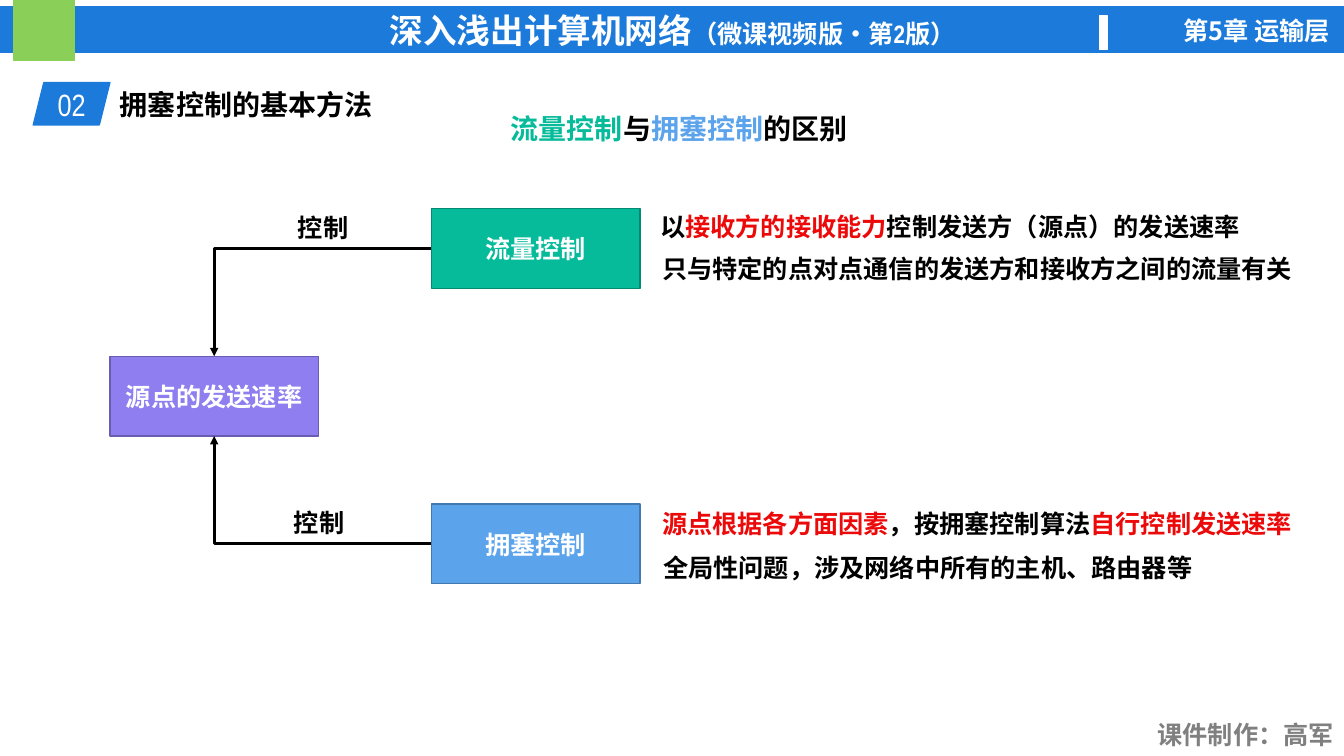
from lxml.etree import SubElement
from pptx import Presentation
from pptx.dml.color import RGBColor
from pptx.enum.shapes import MSO_CONNECTOR as Link, MSO_SHAPE as Kind
from pptx.enum.text import MSO_ANCHOR as Anchor, PP_ALIGN as Align
from pptx.oxml.ns import qn
from pptx.util import Pt

NARROW, SANS = "Arial Narrow", "Noto Sans CJK SC"
BLACK, WHITE, RED, GREY = "000000", "FFFFFF", "EB0909", "808080"
BLUE, LIME = "1B7ADA", "8ACF57"
TEAL, SKY, VIOLET = "06BB9A", "5BA3EB", "8E7EF0"

# A run is (text, colour, size)
COURSE = [("深入浅出计算机网络", WHITE, 24), ("（微课视频版•第2版）", WHITE, 18)]
CHAPTER = [("第5章 运输层", WHITE, 18)]
CREDIT = [("课件制作：高军", GREY, 18)]
NUMBER = [("02", WHITE, 22)]
SECTION = [("拥塞控制的基本方法", BLACK, 20)]
TOPIC = [("流量控制", TEAL, 20), ("与", BLACK, 20),
         ("拥塞控制", SKY, 20), ("的区别", BLACK, 20)]
SOURCE = [("源点的发送速率", WHITE, 18)]
CONTROL = [("控制", BLACK, 18)]

# Name, fill, line, left of the arrow label, notes as (left, drop, runs)
METHODS = [
    ("流量控制", TEAL, "048A72", 197.3, [
        (464.4, -1.4, [("以", BLACK, 18), ("接收方的接收能力", RED, 18),
                       ("控制发送方（源点）的发送速率", BLACK, 18)]),
        (465.8, 28.1, [("只与特定的点对点通信的发送方和接收方之间的流量有关",
                        BLACK, 18)]),
    ]),
    ("拥塞控制", SKY, "4379AE", 194.4, [
        (465.8, -0.7, [("源点根据各方面因素", RED, 18),
                       ("，按拥塞控制算法", BLACK, 18),
                       ("自行控制发送速率", RED, 18)]),
        (466.6, 31, [("全局性问题，涉及网络中所有的主机、路由器等", BLACK, 18)]),
    ]),
]

BOX_W, BOX_H = 149, 57
BOX_X, SRC_X = 308.2, 78.5
TOP, STEP = 149, 211
ROW_H = 28.8
TOP_SITE, LEFT_SITE, BOTTOM_SITE = 0, 1, 2


def rgb(code):
    return RGBColor.from_string(code)


def write(shape, runs, align=Align.LEFT, font=NARROW, bold=True):
    frame = shape.text_frame
    frame.word_wrap = True
    par = frame.paragraphs[0]
    par.alignment = align
    for text, color, size in runs:
        run = par.add_run()
        run.text = text
        run.font.name = font
        run.font.size = Pt(size)
        run.font.bold = bold
        run.font.color.rgb = rgb(color)
        SubElement(run.font._element, qn("a:ea")).set("typeface", SANS)


def block(area, fill, line=None, runs=(), kind=Kind.RECTANGLE, bold=True):
    shape = slide.shapes.add_shape(kind, *map(Pt, area))
    shape.shadow.inherit = False
    shape.fill.solid()
    shape.fill.fore_color.rgb = rgb(fill)
    shape.line.color.rgb = rgb(line or fill)
    shape.line.width = Pt(1)
    shape.text_frame.vertical_anchor = Anchor.MIDDLE
    write(shape, runs, Align.CENTER, bold=bold)
    return shape


def label(area, runs, align=Align.LEFT, font=NARROW):
    write(slide.shapes.add_textbox(*map(Pt, area)), runs, align, font)


def arrow(start, end, site):
    """Draw a one-bend arrow from the left of start to a site of end."""
    line = slide.shapes.add_connector(Link.ELBOW, 0, 0, 0, 0)
    line.begin_connect(start, LEFT_SITE)
    line.end_connect(end, site)
    line.line.color.rgb = rgb(BLACK)
    line.line.width = Pt(2)
    props = line._element.spPr
    props.find(qn("a:prstGeom")).set("prst", "bentConnector2")
    SubElement(props.find(qn("a:ln")), qn("a:tailEnd")).set("type", "triangle")
    SubElement(props, qn("a:effectLst"))


deck = Presentation()
deck.slide_width, deck.slide_height = Pt(960), Pt(540)
slide = deck.slides.add_slide(deck.slide_layouts[5])

# Page frame
block((0, 5, 961, 32.4), BLUE, runs=COURSE)
block((10, 0, 43.2, 43.2), LIME)
block((785.5, 11.5, 5.8, 23.8), WHITE)
label((800, 7.2, 157, ROW_H), CHAPTER, Align.RIGHT, SANS)
label((816.5, 510.5, 143.3, ROW_H), CREDIT, Align.RIGHT)

# Headings
block((23.8, 59, 54.7, 30.2), BLUE, runs=NUMBER, kind=Kind.PARALLELOGRAM,
      bold=False)
title = slide.shapes.title
title.left, title.top, title.width, title.height = map(
    Pt, (78.5, 59, 432.7, 31.7))
title.text_frame.vertical_anchor = Anchor.TOP
write(title, SECTION)
label((357, 76.3, 256.3, 31.7), TOPIC, Align.CENTER)

# Diagram
source = block((SRC_X, TOP + STEP / 2, BOX_W, BOX_H), VIOLET, "695DB2", SOURCE)
for row, (name, fill, line, left, notes) in enumerate(METHODS):
    y = TOP + row * STEP
    box = block((BOX_X, y, BOX_W, BOX_H), fill, line, [(name, WHITE, 18)])
    arrow(box, source, (TOP_SITE, BOTTOM_SITE)[row])
    label((left, y - 1, 67, ROW_H), CONTROL, Align.CENTER)
    for x, drop, runs in notes:
        label((x, y + drop, 471.6, ROW_H), runs)

deck.save("out.pptx")
